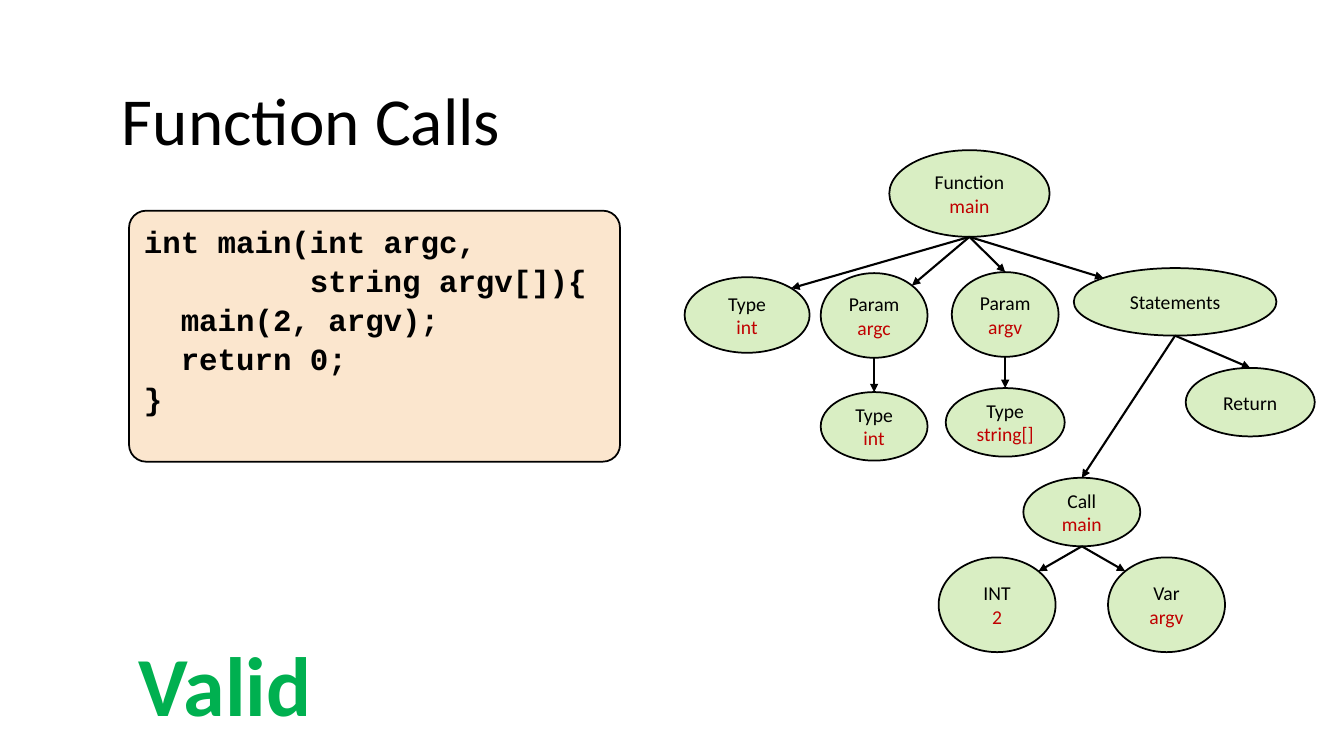
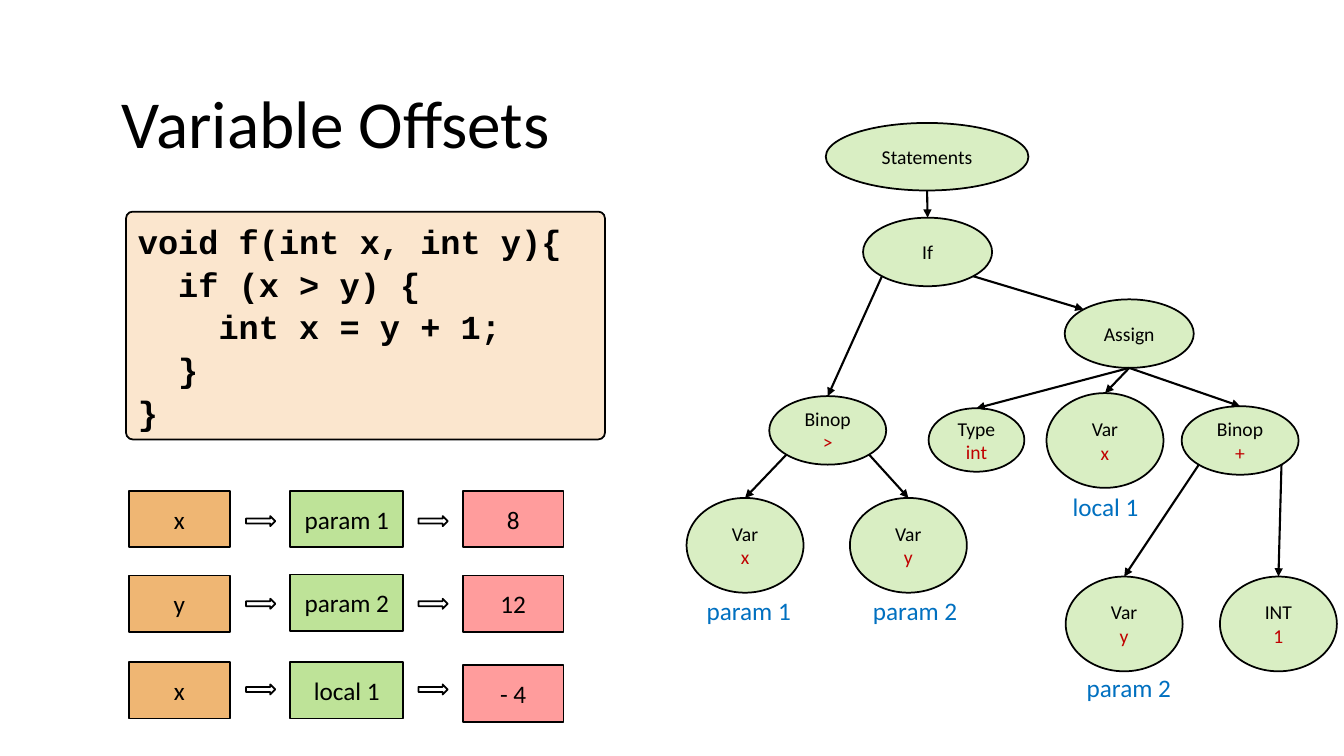
"""Build two compiler slides: a function call tree and variable offsets."""
from dataclasses import dataclass
from math import sqrt

from lxml.etree import SubElement
from pptx import Presentation
from pptx.dml.color import RGBColor
from pptx.enum.shapes import MSO_CONNECTOR, MSO_SHAPE
from pptx.enum.text import MSO_ANCHOR, MSO_AUTO_SIZE, PP_ALIGN
from pptx.oxml.ns import qn
from pptx.util import Emu, Pt

PX = 9144


@dataclass(frozen=True)
class Theme:
    body: str = "Calibri"
    mono: str = "Courier New"
    black: str = "000000"
    white: str = "FFFFFF"
    code: str = "FBE6CE"
    green: str = "92D050"
    orange: str = "E48312"
    red: str = "FF0000"
    value: str = "C00000"
    label: str = "0070C0"
    valid: str = "00B050"
    title_size: int = 48
    verdict_size: int = 60
    node_size: int = 14
    label_size: int = 18
    outline: float = 1.25
    arrow: float = 1.5
    code_spacing: float = 1.06
    node_opacity: int = 34
    cell_opacity: int = 59
    red_opacity: int = 39


THEME = Theme()
WIDE, PLAIN, INNER, LEAF, PARAM = (201, 67), (128, 68), (116, 68), (116, 94), (106, 84)

CALLS = {
    "title": ("Function Calls", 73),
    "code": ((128, 209, 487, 249), 0.068, 22, (
        "int main(int argc,",
        "         string argv[]){",
        "  main(2, argv);",
        "  return 0;",
        "}",
    )),
    "nodes": {
        "function": (882, 149, (159, 86), "Function\nmain"),
        "type": (679, 275, (124, 75), "Type\nint"),
        "argc": (814, 271, PARAM, "Param\nargc"),
        "argv": (944, 270, PARAM, "Param\nargv"),
        "statements": (1065, 266, WIDE, "Statements"),
        "argc type": (814, 389, (106, 68), "Type\nint"),
        "argv type": (938, 385, (118, 68), "Type\nstring[]"),
        "return": (1176, 365, PLAIN, "Return"),
        "call": (1015, 474, INNER, "Call\nmain"),
        "number": (931, 553, LEAF, "INT\n2"),
        "variable": (1099, 553, LEAF, "Var\nargv"),
    },
    "edges": (
        ("function", "bottom", "type", "top right"),
        ("function", "bottom", "argc", "top right"),
        ("function", "bottom", "argv", "top"),
        ("function", "bottom", "statements", "top left"),
        ("argc", "bottom", "argc type", "top"),
        ("argv", "bottom", "argv type", "top"),
        ("statements", "bottom", "return", "top"),
        ("statements", "bottom", "call", "top"),
        ("call", "bottom", "number", "top right"),
        ("call", "bottom", "variable", "top left"),
    ),
}

OFFSETS = {
    "title": ("Variable Offsets", 76),
    "code": ((125, 210, 475, 226), 0.029, 24, (
        "void f(int x, int y){",
        "  if (x > y) {",
        "    int x = y + 1;",
        "  }",
        "}",
    )),
    "nodes": {
        "statements": (819, 122, WIDE, "Statements"),
        "if": (856, 216, PLAIN, "If"),
        "assign": (1056, 297, PLAIN, "Assign"),
        "greater": (763, 393, INNER, "Binop\n>"),
        "type": (921, 405, (95, 63), "Type\nint"),
        "target": (1038, 390, LEAF, "Var\nx"),
        "plus": (1172, 403, INNER, "Binop\n+"),
        "left": (681, 494, LEAF, "Var\nx"),
        "right": (843, 494, LEAF, "Var\ny"),
        "addend": (1057, 572, LEAF, "Var\ny"),
        "one": (1210, 572, LEAF, "INT\n1"),
    },
    "edges": (
        ("statements", "bottom", "if", "top"),
        ("if", "bottom left", "greater", "top"),
        ("if", "bottom right", "assign", "top left"),
        ("assign", "bottom", "type", "top"),
        ("assign", "bottom", "target", "top"),
        ("assign", "bottom", "plus", "top"),
        ("greater", "bottom left", "left", "top"),
        ("greater", "bottom right", "right", "top"),
        ("plus", "bottom left", "addend", "top"),
        ("plus", "bottom right", "one", "top"),
    ),
}

VERDICT = ("Valid", (128, 623, 306, 111))
LABELS = (("param 1", 691, 586), ("param 2", 856, 586),
          ("local 1", 1054, 483), ("param 2", 1068, 662))
COLUMNS = ((128, 100, THEME.orange, THEME.cell_opacity),
           (288, 112, THEME.green, THEME.cell_opacity),
           (459, 100, THEME.red, THEME.red_opacity))
ROWS = (
    (("x", "param 1", "8"), (487, 487, 487), 512),
    (("y", "param 2", "12"), (571, 570, 571), 594),
    (("x", "local 1", "- 4"), (657, 657, 660), 679),
)
ARROW_LEFTS = (244, 415)


def emu(*lengths):
    return [Emu(round(length * PX)) for length in lengths]


def format_para(para, size, color=THEME.black, font=THEME.body, bold=False, align=PP_ALIGN.LEFT):
    para.alignment = align
    for span in para.runs:
        span.font.name = font
        span.font.size = Pt(size)
        span.font.bold = bold
        span.font.color.rgb = RGBColor.from_string(color)


def add_box(page, kind, place, color, opacity=100):
    box = page.shapes.add_shape(kind, *emu(*place))
    box.shadow.inherit = False
    box.fill.solid()
    box.fill.fore_color.rgb = RGBColor.from_string(color)
    if opacity < 100:
        tint = box.fill._xPr.find(qn("a:solidFill"))[0]
        SubElement(tint, qn("a:alpha")).set("val", str(opacity * 1000))
    box.line.color.rgb = RGBColor.from_string(THEME.black)
    box.line.width = Pt(THEME.outline)
    return box


def add_label(page, text, place, size, color, bold=False):
    box = page.shapes.add_textbox(*emu(*place))
    box.text_frame.word_wrap = True
    box.text_frame.text = text
    format_para(box.text_frame.paragraphs[0], size, color, bold=bold)


def centre_text(box, text, size):
    frame = box.text_frame
    frame.text = text
    frame.word_wrap = False
    frame.vertical_anchor = MSO_ANCHOR.MIDDLE
    for para, color in zip(frame.paragraphs, (THEME.black, THEME.value)):
        format_para(para, size, color, align=PP_ALIGN.CENTER)


def add_title(page, text, top):
    title = page.shapes.title
    title.left, title.top, title.width, title.height = emu(111, top, 1109, 91)
    frame = title.text_frame
    frame.text = text
    frame.auto_size = MSO_AUTO_SIZE.NONE
    frame.vertical_anchor = MSO_ANCHOR.TOP
    format_para(frame.paragraphs[0], THEME.title_size)


def add_code(page, place, corner, size, lines):
    box = add_box(page, MSO_SHAPE.ROUNDED_RECTANGLE, place, THEME.code)
    box.adjustments[0] = corner
    frame = box.text_frame
    frame.text = "\n".join(lines)
    frame.vertical_anchor = MSO_ANCHOR.TOP
    for para in frame.paragraphs:
        format_para(para, size, font=THEME.mono, bold=True)
        para.line_spacing = THEME.code_spacing


def rim_point(node, side):
    across = ("right" in side) - ("left" in side)
    down = ("bottom" in side) - ("top" in side)
    reach = 2 * sqrt(abs(across) + abs(down))
    return (Emu(round(node.left + node.width * (0.5 + across / reach))),
            Emu(round(node.top + node.height * (0.5 + down / reach))))


def add_edge(page, start, start_side, end, end_side):
    edge = page.shapes.add_connector(
        MSO_CONNECTOR.STRAIGHT, *rim_point(start, start_side), *rim_point(end, end_side))
    if end_side == "top":
        edge.end_connect(end, 0)
    edge.line.color.rgb = RGBColor.from_string(THEME.black)
    edge.line.width = Pt(THEME.arrow)
    SubElement(edge.line._get_or_add_ln(), qn("a:tailEnd")).set("type", "triangle")
    SubElement(edge._element.spPr, qn("a:effectLst"))


def add_tree(page, nodes, edges):
    ovals = {}
    for name, (left, top, size, text) in nodes.items():
        ovals[name] = add_box(page, MSO_SHAPE.OVAL, (left, top, *size),
                              THEME.green, THEME.node_opacity)
        centre_text(ovals[name], text, THEME.node_size)
    for start, start_side, end, end_side in edges:
        add_edge(page, ovals[start], start_side, ovals[end], end_side)


def add_page(deck, content):
    page = deck.slides.add_slide(deck.slide_layouts[5])
    add_title(page, *content["title"])
    add_code(page, *content["code"])
    add_tree(page, content["nodes"], content["edges"])
    return page


def add_offset_rows(page):
    for texts, tops, arrow_top in ROWS:
        for text, top, (left, width, color, opacity) in zip(texts, tops, COLUMNS):
            cell = add_box(page, MSO_SHAPE.RECTANGLE, (left, top, width, 56), color, opacity)
            centre_text(cell, text, THEME.label_size)
        for left in ARROW_LEFTS:
            add_box(page, MSO_SHAPE.RIGHT_ARROW, (left, arrow_top, 29, 10), THEME.white)


def main():
    deck = Presentation()
    deck.slide_width, deck.slide_height = emu(1333, 750)
    calls = add_page(deck, CALLS)
    text, place = VERDICT
    add_label(calls, text, place, THEME.verdict_size, THEME.valid, bold=True)
    offsets = add_page(deck, OFFSETS)
    add_offset_rows(offsets)
    for text, left, top in LABELS:
        add_label(offsets, text, (left, top, 104, 40), THEME.label_size, THEME.label)
    deck.save("out.pptx")


if __name__ == "__main__":
    main()
